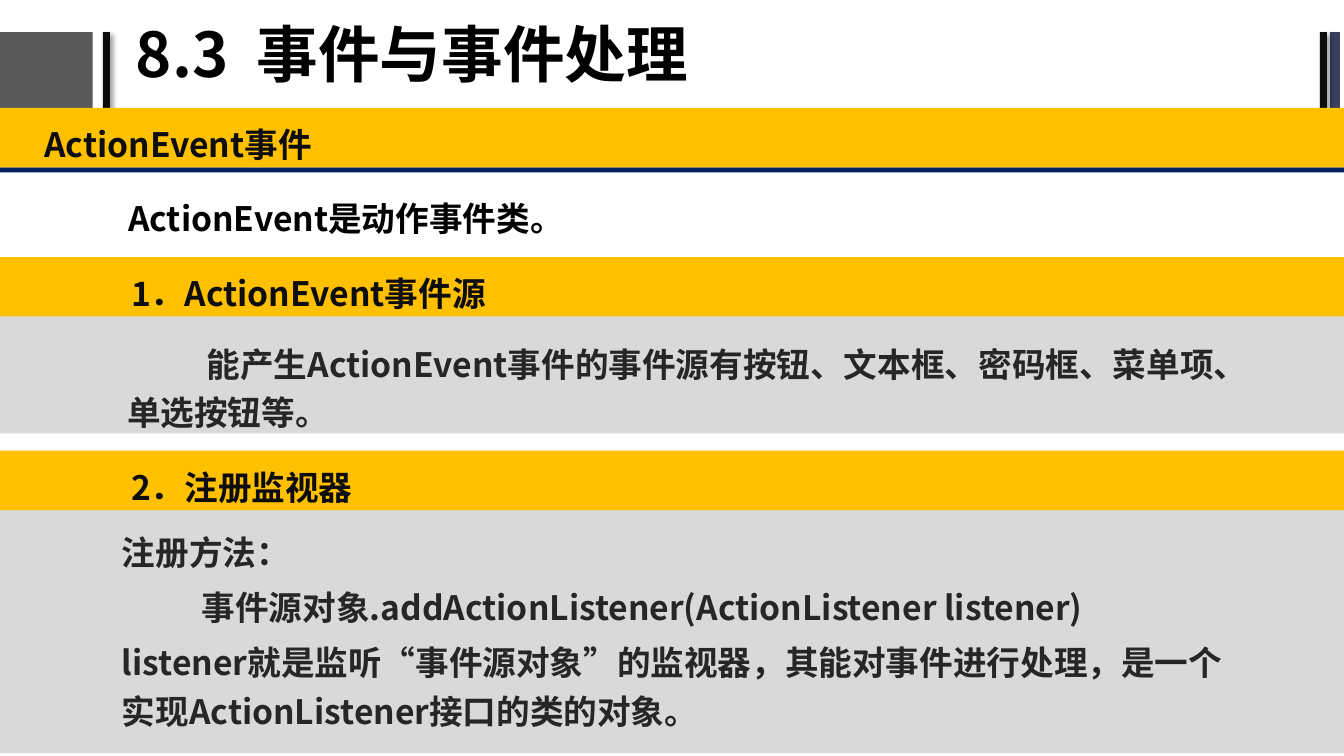
from lxml import etree
from pptx import Presentation
from pptx.dml.color import RGBColor
from pptx.enum.shapes import MSO_SHAPE as SHAPE
from pptx.enum.text import MSO_ANCHOR as ANCHOR
from pptx.oxml.ns import qn
from pptx.util import Inches, Pt

W, H = 13.33, 7.5
FONT = "Noto Sans CJK SC"
GOLD, GRAY, BLACK, DARK, SOFT = "FFC000", "D9D9D9", "000000", "0D0D0D", "262626"
BAND_H, INDENT = 0.59, 0.79
MARK_Y, MARK_H = 0.32, 0.76

TITLE = "8.3  事件与事件处理"
MARKS = [
    (-0.02, 0.94, "595959", False),
    (1.02, 0.07, DARK, True),
    (13.19, 0.1, "3B3F60", False),
    (13.09, 0.07, DARK, True),
]
RULE = (0, 1.66, W, 0.05)
PANELS = [(5.01, 2.46), (2.55, 1.75)]
BANDS = [
    (-0.04, 1.07, 13.4, 0.31, 13.06, "ActionEvent事件"),
    (0, 2.55, W, 1.17, 10.19, "1．ActionEvent事件源"),
    (0, 4.47, W, 1.17, 10.19, "2．注册监视器"),
]
BODIES = [
    ((0.35, 1.77, 11.33, 0.71), BLACK, 1.3, [("ActionEvent是动作事件类。", INDENT)]),
    ((1.13, 3.26, 11.35, 1.38), SOFT, 1.2, [
        ("能产生ActionEvent事件的事件源有按钮、文本框、密码框、菜单项、单选按钮等。", INDENT),
    ]),
    ((1.08, 5.13, 11.35, 2.5), SOFT, 1.2, [
        ("注册方法：", 0),
        ("事件源对象.addActionListener(ActionListener listener)", INDENT),
        ("listener就是监听“事件源对象”的监视器，其能对事件进行处理，"
         "是一个实现ActionListener接口的类的对象。", 0),
    ]),
]


def rgb(color):
    return RGBColor.from_string(color)


def add_rect(s, box, color, shadow=False):
    sp = s.shapes.add_shape(SHAPE.RECTANGLE, *map(Inches, box))
    sp.fill.solid()
    sp.fill.fore_color.rgb = rgb(color)
    sp.line.fill.background()
    sp.shadow.inherit = False
    if shadow:
        effects = sp.element.spPr.find(qn("a:effectLst"))
        outer = etree.SubElement(effects, qn("a:outerShdw"), blurRad=str(Pt(4)),
                                 dist=str(Pt(3)), dir=str(45 * 60000), rotWithShape="0")
        tint = etree.SubElement(outer, qn("a:srgbClr"), val=BLACK)
        etree.SubElement(tint, qn("a:alpha"), val="40000")


def add_text(s, box, lines, color=DARK, size=24, spacing=1.2, inset=(0.13, 0.07),
             anchor=ANCHOR.TOP):
    tf = s.shapes.add_textbox(*map(Inches, box)).text_frame
    tf.word_wrap = True
    tf.vertical_anchor = anchor
    tf.margin_left = tf.margin_right = Inches(inset[0])
    tf.margin_top = tf.margin_bottom = Inches(inset[1])
    for i, (text, indent) in enumerate(lines):
        p = tf.add_paragraph() if i else tf.paragraphs[0]
        p.line_spacing = spacing
        p.space_before = Pt(0.2 * size if i else 0)
        if indent:
            p._p.get_or_add_pPr().set("indent", str(Inches(indent)))
        r = p.add_run()
        r.text = text
        r.font.size, r.font.bold, r.font.name = Pt(size), True, FONT
        r.font.color.rgb = rgb(color)
        etree.SubElement(r.font._element, qn("a:ea"), typeface=FONT)


def main():
    """Build the slide about action events and save it."""
    prs = Presentation()
    prs.slide_width, prs.slide_height = Inches(W), Inches(H)
    s = prs.slides.add_slide(prs.slide_layouts[6])
    for x, w, color, shadow in MARKS:
        add_rect(s, (x, MARK_Y, w, MARK_H), color, shadow)
    add_text(s, (1.25, 0.02, 8.47, 1.1), [(TITLE, 0)], color=BLACK, size=44,
             spacing=0.9, inset=(0.1, 0.05), anchor=ANCHOR.MIDDLE)
    add_rect(s, RULE, "002060")
    for y, h in PANELS:
        add_rect(s, (0, y, W, h), GRAY)
    for x, y, w, text_x, text_w, text in BANDS:
        add_rect(s, (x, y, w, BAND_H), GOLD)
        add_text(s, (text_x, y + 0.01, text_w, BAND_H - 0.01), [(text, 0)])
    for box, color, spacing, lines in BODIES:
        add_text(s, box, lines, color=color, spacing=spacing)
    prs.save("out.pptx")


if __name__ == "__main__":
    main()
